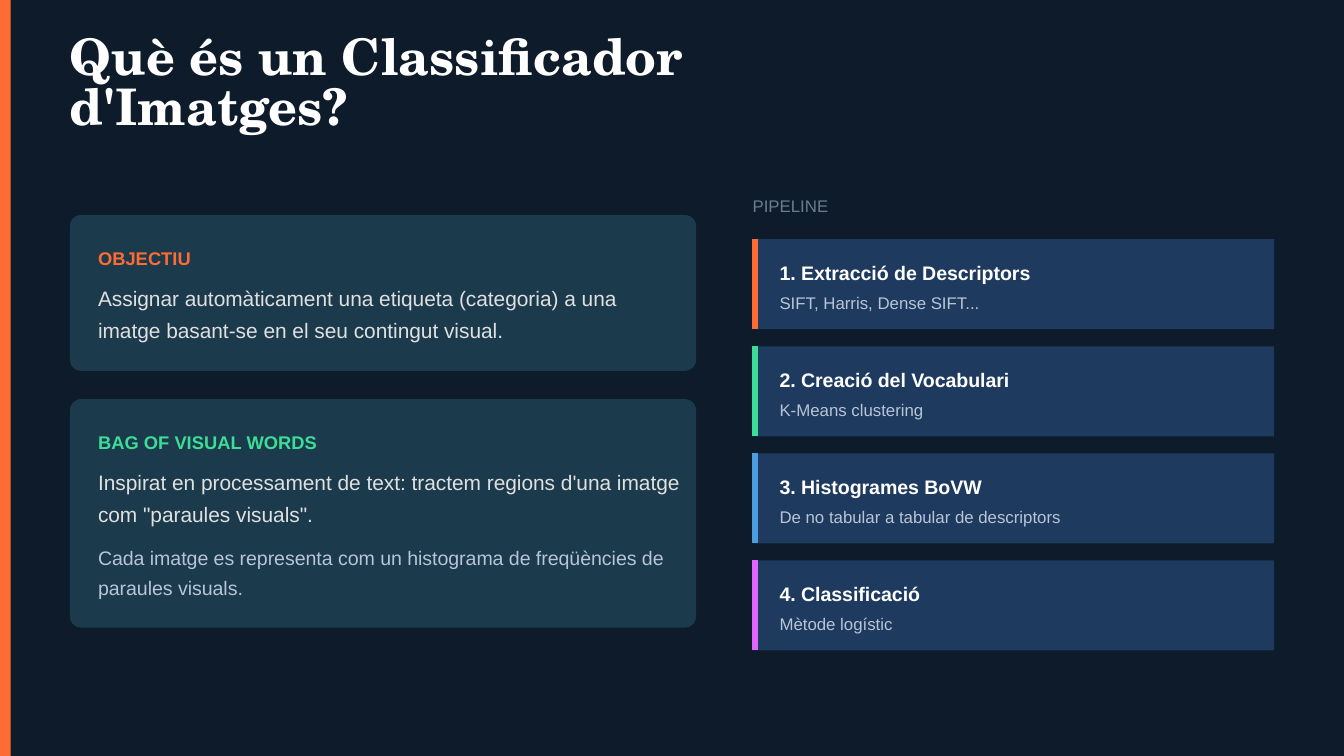
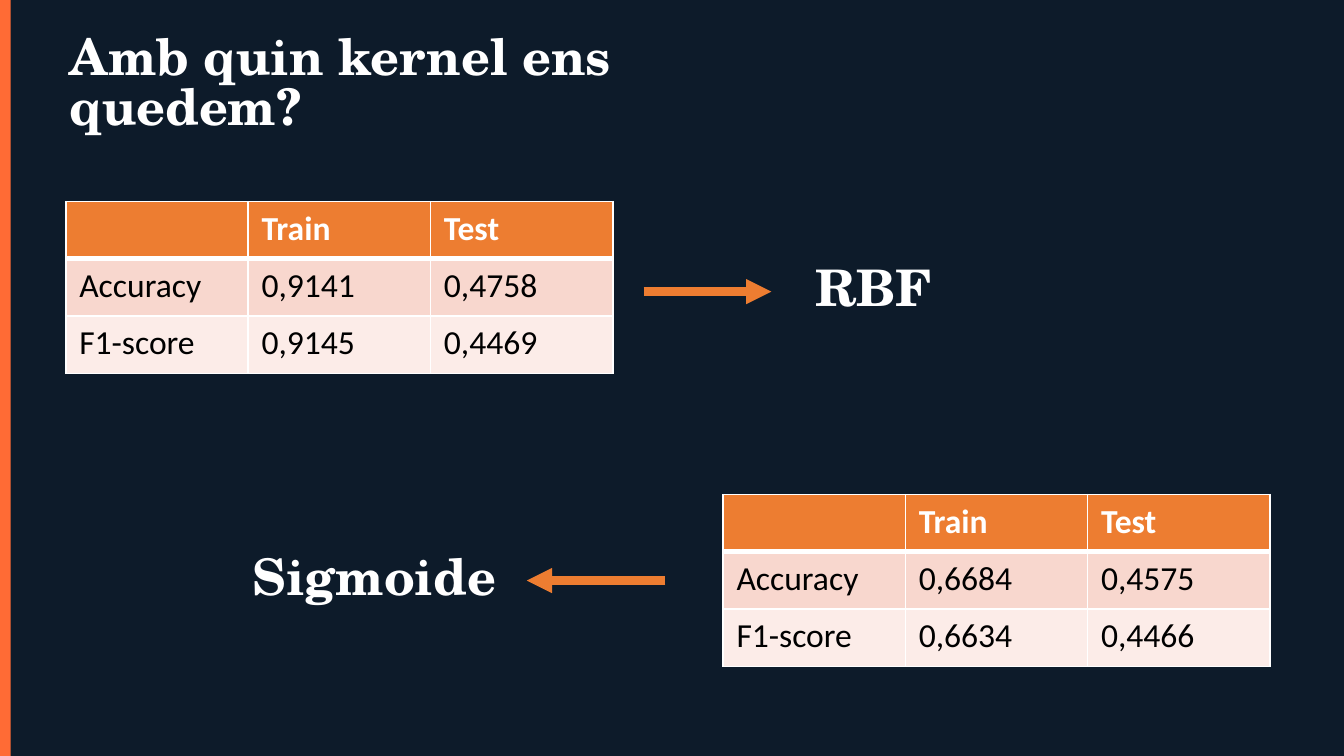
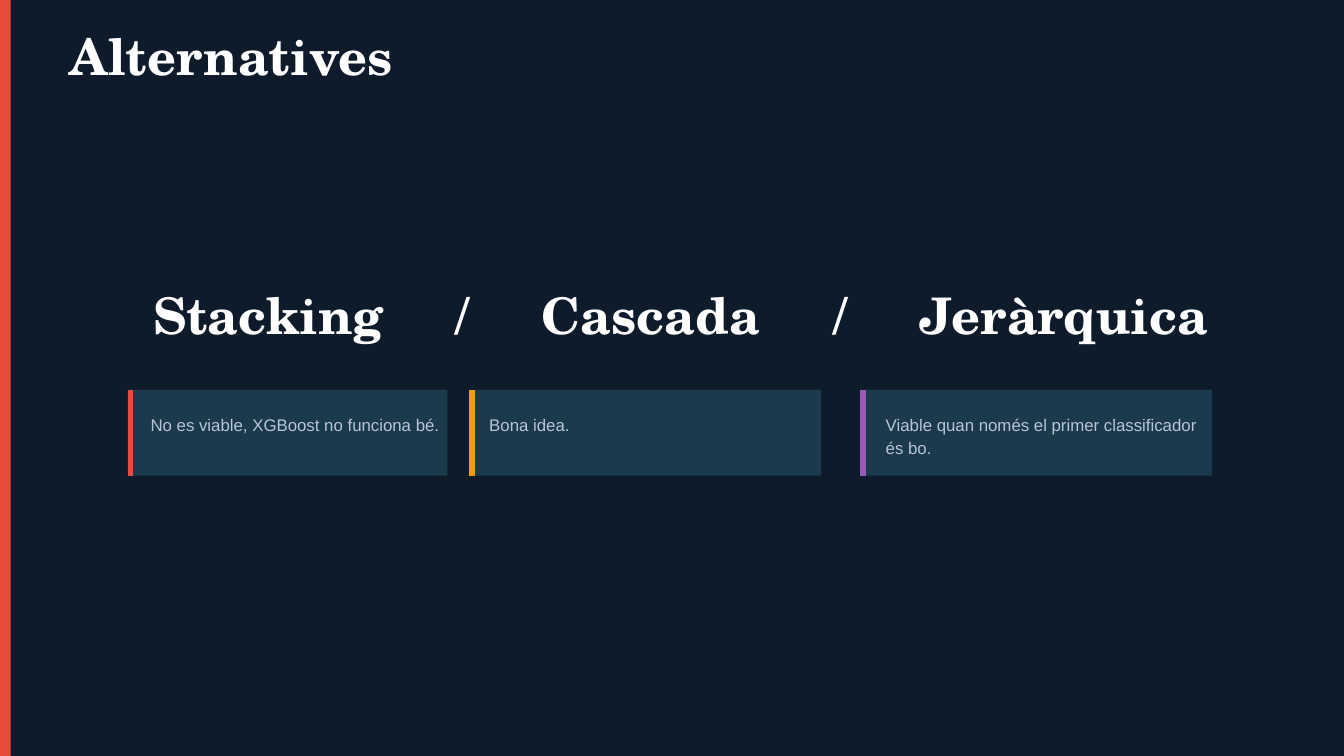
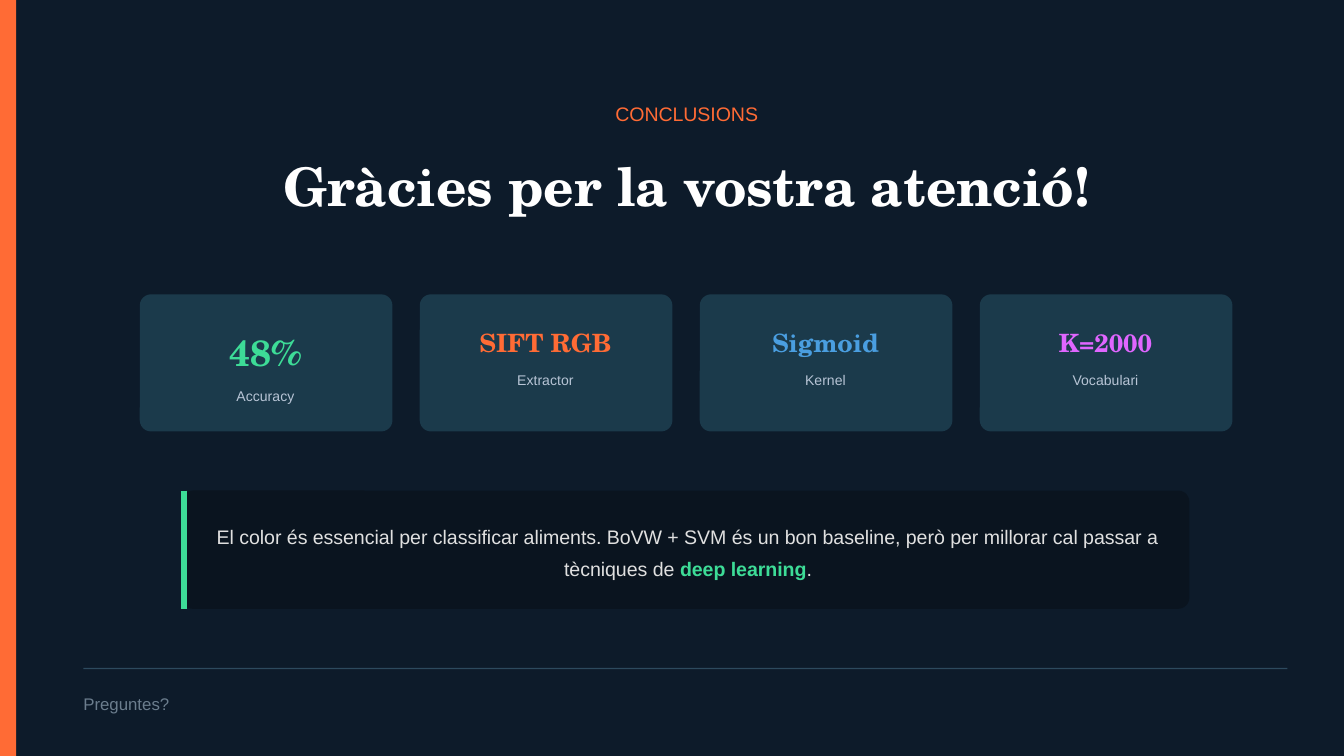
from dataclasses import dataclass, replace
from typing import NamedTuple

from lxml import etree
from pptx import Presentation
from pptx.dml.color import RGBColor
from pptx.enum.shapes import MSO_CONNECTOR, MSO_SHAPE
from pptx.enum.text import MSO_AUTO_SIZE, PP_ALIGN
from pptx.oxml import parse_xml
from pptx.oxml.ns import nsdecls, qn
from pptx.util import Inches, Pt

RECT = MSO_SHAPE.RECTANGLE
ROUNDED = MSO_SHAPE.ROUNDED_RECTANGLE
STRAIGHT = MSO_CONNECTOR.STRAIGHT
LEFT, CENTER = PP_ALIGN.LEFT, PP_ALIGN.CENTER
GROW = MSO_AUTO_SIZE.SHAPE_TO_FIT_TEXT

PAGE_WIDTH, PAGE_HEIGHT = 10, 10 * 9 / 16
CORNER_RADIUS = 1 / 12
ACCENT_OFFSET = 0.02

SERIF, SANS, TABLE_FONT = "TeX Gyre Schola", "Arial", "Calibri"
NIGHT, TEAL, NAVY, INK = "0D1B2A", "1B3A4B", "1E3A5F", "0A141F"
ORANGE, GREEN, BLUE, PINK = "FF6B35", "3DDC97", "4A9EE0", "E066FF"
RED, AMBER, PURPLE = "E74C3C", "F39C12", "9B59B6"
WHITE, BLACK, LIGHT, MIST, GREY = "FFFFFF", "000000", "E0E0E0", "B8C5D6", "6B7D8D"
DIVIDER, TABLE_ORANGE = "2D4A5E", "ED7D31"
TABLE_BANDS = ["F8D7CE", "FCECE8"]


@dataclass(frozen=True)
class Style:
    size: float
    leading: float
    color: str = MIST
    bold: bool = False
    font: str = SANS
    align: PP_ALIGN = LEFT


TITLE = Style(27, 27, WHITE, True, SERIF)
CLOSING = Style(28.5, 34.2, WHITE, True, SERIF, CENTER)
HEADING = Style(9.8, 13.7, ORANGE, True)
BODY = Style(11.2, 16.9, LIGHT)
DETAIL = Style(10.5, 15.8)
STEP_NAME = Style(10.5, 14.7, WHITE, True)
KICKER = Style(10.5, 14.7, ORANGE, align=CENTER)
SMALL = Style(9, 12.6)
MUTED = replace(SMALL, color=GREY)
CAPTION = Style(7.5, 10.5, align=CENTER)
TAKEAWAY = Style(10.5, 16.8, LIGHT, align=CENTER)


class Box(NamedTuple):
    left: float
    top: float
    width: float
    height: float

    def lengths(self) -> list:
        return [Inches(value) for value in self]


class Step(NamedTuple):
    name: str
    detail: str
    color: str


class Note(NamedTuple):
    card: Box
    text_left: float
    text_width: float
    text: str
    color: str


class Result(NamedTuple):
    value: str
    label: str
    color: str
    size: float
    height: float


class Kernel(NamedTuple):
    name: str
    name_box: Box
    arrow_start: float
    arrow_end: float
    arrow_y: float
    table_left: float
    table_top: float
    scores: list


def rgb(color: str) -> RGBColor:
    return RGBColor.from_string(color)


def add_page(deck, accent: str, band_width: float = 0.08):
    page = deck.slides.add_slide(deck.slide_layouts[6])
    page.background.fill.solid()
    page.background.fill.fore_color.rgb = rgb(NIGHT)
    add_panel(page, Box(0, 0, band_width, PAGE_HEIGHT), accent)
    return page


def add_panel(page, box: Box, color: str, kind=RECT) -> None:
    panel = page.shapes.add_shape(kind, *box.lengths())
    panel.shadow.inherit = False
    panel.fill.solid()
    panel.fill.fore_color.rgb = rgb(color)
    panel.line.fill.background()
    if kind == ROUNDED:
        panel.adjustments[0] = CORNER_RADIUS / box.height


def add_line(page, start: tuple, end: tuple, color: str, width: float):
    line = page.shapes.add_connector(
        STRAIGHT, *[Inches(value) for value in (*start, *end)])
    line.line.color.rgb = rgb(color)
    line.line.width = Pt(width)
    etree.SubElement(line._element.spPr, qn("a:effectLst"))
    return line


def add_accent(page, card: Box, color: str) -> None:
    """Mark the left edge of a card with a coloured line."""
    x = card.left + ACCENT_OFFSET
    add_line(page, (x, card.top), (x, card.top + card.height), color, 3)


def add_arrow(page, start: tuple, end: tuple) -> None:
    arrow = add_line(page, start, end, TABLE_ORANGE, 4.5)
    etree.SubElement(arrow.line._get_or_add_ln(), qn("a:tailEnd"), type="triangle")


def add_span(para, text: str, style: Style) -> None:
    span = para.add_run()
    span.text = text
    span.font.name = style.font
    span.font.size = Pt(style.size)
    span.font.bold = style.bold
    span.font.color.rgb = rgb(style.color)


def add_text(page, box: Box, style: Style, *spans, inset: bool = False):
    """Write plain strings, or (text, style) pairs, as one paragraph."""
    frame = page.shapes.add_textbox(*box.lengths()).text_frame
    frame.word_wrap = True
    if inset:
        frame.auto_size = GROW
    else:
        frame.margin_left = frame.margin_right = 0
        frame.margin_top = frame.margin_bottom = 0
    para = frame.paragraphs[0]
    para.alignment = style.align
    para.line_spacing = Pt(style.leading)
    for item in spans:
        text, look = (item, style) if isinstance(item, str) else item
        add_span(para, text, look)
    return frame


def add_title(page, text: str, width: float) -> None:
    add_text(page, Box(0.52, 0.26, width, 0.38), TITLE, text)


def set_borders(cell, widths: dict) -> None:
    properties = cell._tc.get_or_add_tcPr()
    for side in "LRTB":
        if side in widths:
            properties.append(parse_xml(
                f'<a:ln{side} {nsdecls("a")} w="{Pt(widths[side])}"><a:solidFill>'
                f'<a:srgbClr val="{WHITE}"/></a:solidFill></a:ln{side}>'))


def add_score_table(page, left: float, top: float, scores: list) -> None:
    rows = [["", "Train", "Test"], *scores]
    box = Box(left, top, 4.07, 1.28)
    table = page.shapes.add_table(len(rows), 3, *box.lengths()).table
    for r, row in enumerate(rows):
        header = r == 0
        style = Style(18, 0, WHITE if header else BLACK, header, TABLE_FONT)
        for c, text in enumerate(row):
            cell = table.cell(r, c)
            set_borders(cell, {"L": 1, "R": 1, "T": 1, "B": 3} if header
                        else {"L": 1, "R": 1, "B": 1})
            cell.fill.solid()
            cell.fill.fore_color.rgb = rgb(
                TABLE_ORANGE if header else TABLE_BANDS[r - 1])
            if text:
                add_span(cell.text_frame.paragraphs[0], text, style)


def build_definition(deck) -> None:
    page = add_page(deck, ORANGE)
    add_title(page, "Què és un Classificador d'Imatges?", 5.76)

    cards = [
        (1.6, 1.16, "OBJECTIU", ORANGE,
         "Assignar automàticament una etiqueta (categoria) a una imatge "
         "basant-se en el seu contingut visual."),
        (2.97, 1.7, "BAG OF VISUAL WORDS", GREEN,
         "Inspirat en processament de text: tractem regions d'una imatge com "
         "\"paraules visuals\"."),
    ]
    for top, height, heading, color, body in cards:
        add_panel(page, Box(0.52, top, 4.66, height), TEAL, ROUNDED)
        add_text(page, Box(0.73, top + 0.21, 4.33, 0.19),
                 replace(HEADING, color=color), heading)
        add_text(page, Box(0.73, top + 0.48, 4.33, 0.47), BODY, body)
    add_text(page, Box(0.73, 4.02, 4.33, 0.44), DETAIL,
             "Cada imatge es representa com un histograma de freqüències de "
             "paraules visuals.")

    add_text(page, Box(5.6, 1.43, 3.96, 0.17), MUTED, "PIPELINE")
    steps = [
        Step("1. Extracció de Descriptors", "SIFT, Harris, Dense SIFT...", ORANGE),
        Step("2. Creació del Vocabulari", "K-Means clustering", GREEN),
        Step("3. Histogrames BoVW", "De no tabular a tabular de descriptors", BLUE),
        Step("4. Classificació", "Mètode logístic", PINK),
    ]
    step_pitch = 2.39 / 3
    for index, step in enumerate(steps):
        card = Box(5.6, 1.78 + index * step_pitch, 3.88, 0.67)
        add_panel(page, card, NAVY)
        add_accent(page, card, step.color)
        add_text(page, Box(5.8, card.top + 0.13, 3.58, 0.2), STEP_NAME, step.name)
        add_text(page, Box(5.8, card.top + 0.37, 3.58, 0.17), SMALL, step.detail)


def build_kernels(deck) -> None:
    page = add_page(deck, ORANGE)
    add_title(page, "Amb quin kernel ens quedem?", 4.92)
    kernels = [
        Kernel("RBF", Box(5.97, 1.93, 1.24, 0.48), 4.79, 5.74, 2.17, 0.49, 1.5,
               [["Accuracy", "0,9141", "0,4758"], ["F1-score", "0,9145", "0,4469"]]),
        Kernel("Sigmoide", Box(1.78, 4.08, 2.01, 0.48), 4.95, 3.92, 4.32, 5.38, 3.68,
               [["Accuracy", "0,6684", "0,4575"], ["F1-score", "0,6634", "0,4466"]]),
    ]
    for kernel in kernels:
        add_arrow(page, (kernel.arrow_start, kernel.arrow_y),
                  (kernel.arrow_end, kernel.arrow_y))
        add_text(page, kernel.name_box, TITLE, kernel.name, inset=True)
        add_score_table(page, kernel.table_left, kernel.table_top, kernel.scores)


def build_alternatives(deck) -> None:
    page = add_page(deck, RED)
    add_title(page, "Alternatives", 6.11)

    frame = add_text(page, Box(0.52, 2.19, 9.1, 0.38), TITLE)
    frame.margin_left = Inches(0.62)
    para = frame.paragraphs[0]
    stops = etree.SubElement(para._p.get_or_add_pPr(), qn("a:tabLst"))
    for position in (2.25, 2.89, 5.06, 5.7):
        etree.SubElement(stops, qn("a:tab"), pos=str(Inches(position)), algn="l")
    add_span(para, "Stacking\t/\tCascada\t/\tJeràrquica", TITLE)

    notes = [
        Note(Box(0.95, 2.9, 2.38, 0.64), 1.12, 2.65,
             "No es viable, XGBoost no funciona bé.", RED),
        Note(Box(3.49, 2.9, 2.62, 0.64), 3.64, 2.65, "Bona idea.", AMBER),
        Note(Box(6.4, 2.9, 2.62, 0.64), 6.59, 2.38,
             "Viable quan només el primer classificador és bo.", PURPLE),
    ]
    for note in notes:
        add_panel(page, note.card, TEAL)
        add_accent(page, note.card, note.color)
        add_text(page, Box(note.text_left, 3.06, note.text_width, 0.48),
                 SMALL, note.text)


def build_conclusions(deck) -> None:
    page = add_page(deck, ORANGE, 0.12)
    add_text(page, Box(0.54, 0.73, 9.14, 0.2), KICKER, "CONCLUSIONS")
    add_text(page, Box(0.54, 1.14, 9.14, 0.47), CLOSING,
             "Gràcies per la vostra atenció!")

    results = [
        Result("48%", "Accuracy", GREEN, 19.5, 0.38),
        Result("SIFT RGB", "Extractor", ORANGE, 13.5, 0.26),
        Result("Sigmoid", "Kernel", BLUE, 13.5, 0.26),
        Result("K=2000", "Vocabulari", PINK, 13.5, 0.26),
    ]
    result_pitch = 6.25 / 3
    for index, result in enumerate(results):
        card = Box(1.04 + index * result_pitch, 2.19, 1.88, 1.02)
        add_panel(page, card, TEAL, ROUNDED)
        text_left = card.left + 0.15
        style = Style(result.size, result.size * 1.4, result.color, True, SERIF, CENTER)
        add_text(page, Box(text_left, 2.4, 1.57, result.height), style, result.value)
        add_text(page, Box(text_left, 2.48 + result.height, 1.57, 0.15),
                 CAPTION, result.label)

    takeaway = Box(1.35, 3.65, 7.5, 0.88)
    add_panel(page, takeaway, INK, ROUNDED)
    add_accent(page, takeaway, GREEN)
    add_text(page, Box(1.53, 3.85, 7.18, 0.47), TAKEAWAY,
             "El color és essencial per classificar aliments. BoVW + SVM és un bon "
             "baseline, però per millorar cal passar a tècniques de ",
             ("deep learning", replace(TAKEAWAY, color=GREEN, bold=True)), ".")

    add_panel(page, Box(0.62, 4.97, 8.96, 0.01), DIVIDER)
    add_text(page, Box(0.62, 5.14, 0.65, 0.17), MUTED, "Preguntes?")


def main() -> None:
    deck = Presentation()
    deck.slide_width = Inches(PAGE_WIDTH)
    deck.slide_height = Inches(PAGE_HEIGHT)
    build_definition(deck)
    build_kernels(deck)
    build_alternatives(deck)
    build_conclusions(deck)
    deck.save("out.pptx")


if __name__ == "__main__":
    main()
